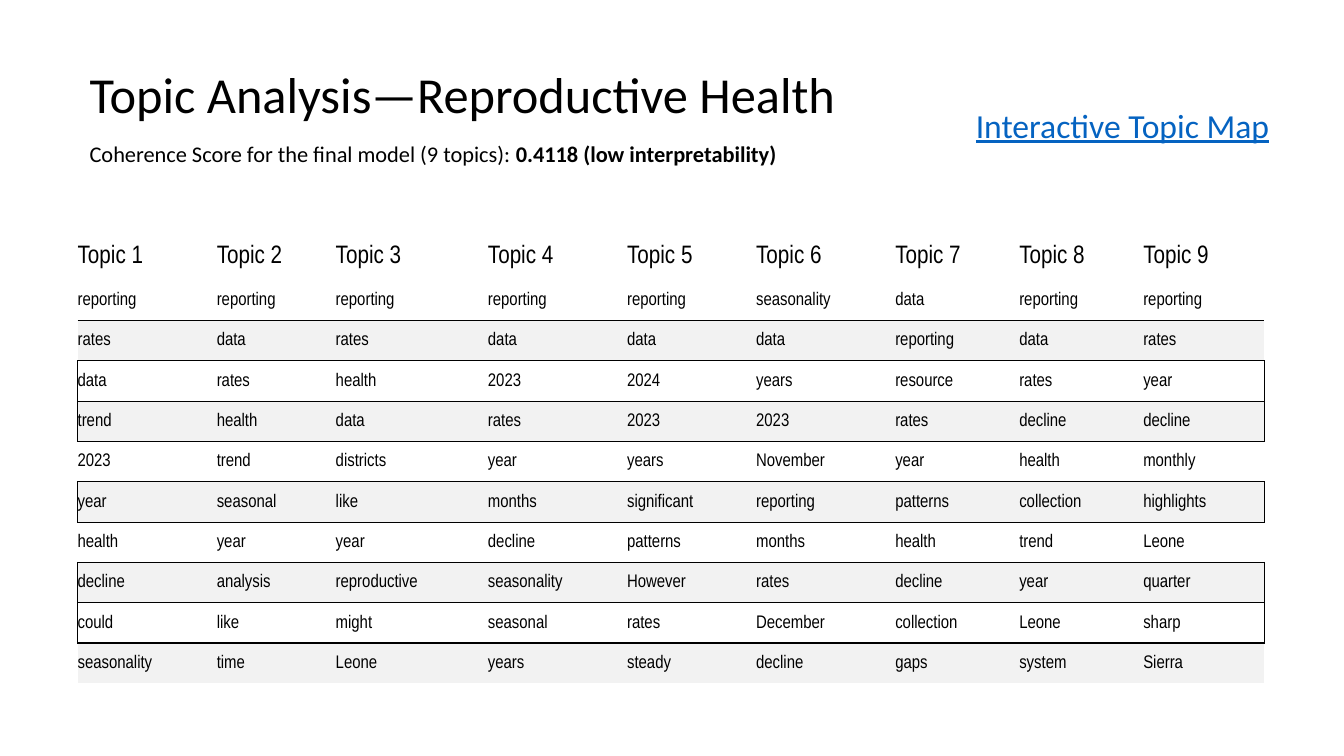
"""Build the reproductive health topic analysis slide."""
from lxml.etree import SubElement
from pptx import Presentation
from pptx.dml.color import RGBColor
from pptx.enum.text import MSO_ANCHOR
from pptx.oxml.ns import qn
from pptx.util import Emu, Pt

TITLE = "Topic Analysis—Reproductive Health"
SCORE = [("Coherence Score for the final model (9 topics): ", False),
         ("0.4118 (low interpretability)", True)]
MAP_LABEL = "Interactive Topic Map"
TOPICS = [
    ("Topic 1", "Topic 2", "Topic 3", "Topic 4", "Topic 5", "Topic 6", "Topic 7", "Topic 8", "Topic 9"),
    ("reporting", "reporting", "reporting", "reporting", "reporting", "seasonality", "data", "reporting", "reporting"),
    ("rates", "data", "rates", "data", "data", "data", "reporting", "data", "rates"),
    ("data", "rates", "health", "2023", "2024", "years", "resource", "rates", "year"),
    ("trend", "health", "data", "rates", "2023", "2023", "rates", "decline", "decline"),
    ("2023", "trend", "districts", "year", "years", "November", "year", "health", "monthly"),
    ("year", "seasonal", "like", "months", "significant", "reporting", "patterns", "collection", "highlights"),
    ("health", "year", "year", "decline", "patterns", "months", "health", "trend", "Leone"),
    ("decline", "analysis", "reproductive", "seasonality", "However", "rates", "decline", "year", "quarter"),
    ("could", "like", "might", "seasonal", "rates", "December", "collection", "Leone", "sharp"),
    ("seasonality", "time", "Leone", "years", "steady", "decline", "gaps", "system", "Sierra"),
]
COL_WIDTHS = [138, 118, 151, 138, 128, 138, 123, 123, 120]
HEADER_HEIGHT, ROW_HEIGHT = 47, 40
BOXED_ROWS = {3, 4, 6, 8, 9}
RULES = {2: 0.75} | {row: 1 for row in range(3, 11)}
PLAIN_TABLE = "{2D5ABB26-0587-4C30-8999-92F81FD0307C}"
THEME = {
    "text": "000000", "link": "0563C1", "band": "F2F2F2", "rule": "000000",
    "font": "Calibri", "table_font": "Arial Narrow",
    "title": 36, "score": 16, "map": 24, "header": 18, "word": 13,
}


def px(n):
    return Emu(n * 9144)


def write(tf, text, size, font=THEME["font"], color=THEME["text"], underline=None,
          spacing=None, anchor=MSO_ANCHOR.TOP):
    """Fill a text frame with one paragraph of plain text or (text, bold) runs."""
    tf.word_wrap = True
    tf.vertical_anchor = anchor
    p = tf.paragraphs[0]
    p.line_spacing = spacing
    for part, bold in [(text, False)] if isinstance(text, str) else text:
        r = p.add_run()
        r.text = part
        r.font.name, r.font.size = font, Pt(size)
        r.font.bold, r.font.underline = bold, underline
        r.font.color.rgb = RGBColor.from_string(color)


def add_text(s, box, text, size, **fmt):
    write(s.shapes.add_textbox(*map(px, box)).text_frame, text, size, **fmt)


def add_border(cell, side, width):
    ln = SubElement(cell._tc.get_or_add_tcPr(), qn(f"a:ln{side}"), w=str(Pt(width)))
    fill = SubElement(ln, qn("a:solidFill"))
    SubElement(fill, qn("a:srgbClr"), val=THEME["rule"])


def format_cell(cell, row, col):
    boxed = row in BOXED_ROWS
    borders = {
        "L": 1 if boxed and col == 0 else 0,
        "R": 1 if boxed and col == len(COL_WIDTHS) - 1 else 0,
        "T": RULES.get(row, 0),
        "B": RULES.get(row + 1, 0),
    }
    for side, width in borders.items():
        if width:
            add_border(cell, side, width)
    if row and row % 2 == 0:
        cell.fill.solid()
        cell.fill.fore_color.rgb = RGBColor.from_string(THEME["band"])
    else:
        cell.fill.background()
    cell.margin_left, cell.margin_right = px(0), px(1)
    cell.margin_top, cell.margin_bottom = px(3 if row else 2), px(11)
    cell.vertical_anchor = MSO_ANCHOR.BOTTOM


def add_topics(s, left, top):
    heights = [HEADER_HEIGHT] + [ROW_HEIGHT] * (len(TOPICS) - 1)
    frame = s.shapes.add_table(len(TOPICS), len(COL_WIDTHS), px(left), px(top),
                               px(sum(COL_WIDTHS)), px(sum(heights)))
    table = frame.table
    table.first_row = table.horz_banding = False
    table._tbl.tblPr.find(qn("a:tableStyleId")).text = PLAIN_TABLE
    for column, width in zip(table.columns, COL_WIDTHS):
        column.width = px(width)
    for row, (words, height) in enumerate(zip(TOPICS, heights)):
        table.rows[row].height = px(height)
        for col, word in enumerate(words):
            cell = table.cell(row, col)
            write(cell.text_frame, word, THEME["word" if row else "header"],
                  font=THEME["table_font"])
            format_cell(cell, row, col)


def main():
    prs = Presentation()
    prs.slide_width, prs.slide_height = px(1333), px(750)
    s = prs.slides.add_slide(prs.slide_layouts[6])
    add_text(s, (79, 56, 837, 81), TITLE, THEME["title"], spacing=0.9, anchor=MSO_ANCHOR.MIDDLE)
    add_text(s, (79, 137, 738, 46), SCORE, THEME["score"], spacing=0.9)
    add_topics(s, 77, 231)
    add_text(s, (958, 99, 356, 50), MAP_LABEL, THEME["map"], color=THEME["link"], underline=True)
    prs.save("out.pptx")


if __name__ == "__main__":
    main()
